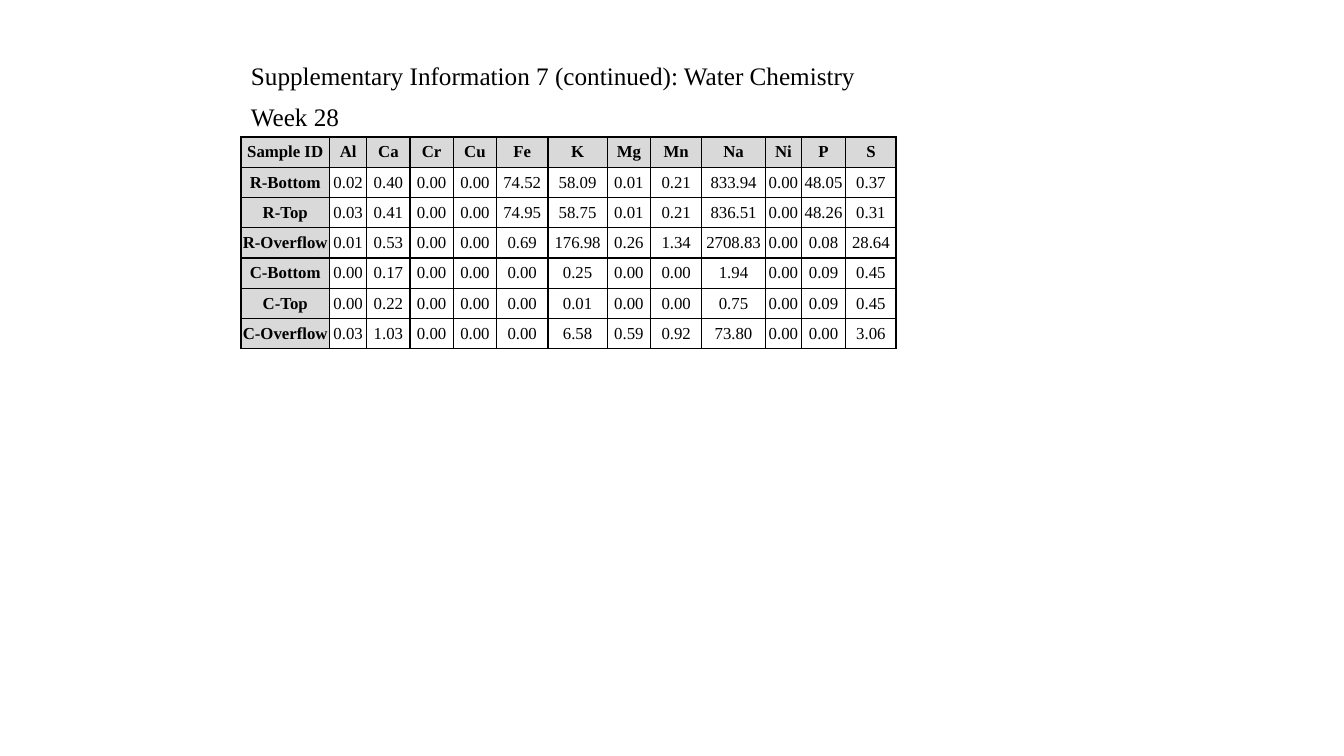
from dataclasses import dataclass

from lxml.etree import SubElement
from pptx import Presentation
from pptx.dml.color import RGBColor
from pptx.enum.text import MSO_ANCHOR, MSO_AUTO_SIZE, PP_ALIGN
from pptx.oxml.ns import qn
from pptx.util import Inches, Pt


@dataclass(frozen=True)
class Theme:
    font: str = "Times New Roman"
    ink: str = "000000"
    label_fill: str = "D9D9D9"
    heading_size: int = 18
    table_size: int = 12
    border_width: int = 1


THEME = Theme()

COLUMN_WIDTHS = [0.88, 0.37, 0.43, 0.43, 0.43, 0.51, 0.59,
                 0.43, 0.51, 0.63, 0.36, 0.44, 0.5]
CHEMISTRY = [
    ["Sample ID", "Al", "Ca", "Cr", "Cu", "Fe", "K", "Mg", "Mn", "Na", "Ni", "P", "S"],
    ["R-Bottom", "0.02", "0.40", "0.00", "0.00", "74.52", "58.09",
     "0.01", "0.21", "833.94", "0.00", "48.05", "0.37"],
    ["R-Top", "0.03", "0.41", "0.00", "0.00", "74.95", "58.75",
     "0.01", "0.21", "836.51", "0.00", "48.26", "0.31"],
    ["R-Overflow", "0.01", "0.53", "0.00", "0.00", "0.69", "176.98",
     "0.26", "1.34", "2708.83", "0.00", "0.08", "28.64"],
    ["C-Bottom", "0.00", "0.17", "0.00", "0.00", "0.00", "0.25",
     "0.00", "0.00", "1.94", "0.00", "0.09", "0.45"],
    ["C-Top", "0.00", "0.22", "0.00", "0.00", "0.00", "0.01",
     "0.00", "0.00", "0.75", "0.00", "0.09", "0.45"],
    ["C-Overflow", "0.03", "1.03", "0.00", "0.00", "0.00", "6.58",
     "0.59", "0.92", "73.80", "0.00", "0.00", "3.06"],
]


def add_run(paragraph, text, size, bold=False):
    run = paragraph.add_run()
    run.text = text
    run.font.name = THEME.font
    run.font.size = Pt(size)
    run.font.bold = bold
    run.font.color.rgb = RGBColor.from_string(THEME.ink)


def add_heading(slide, text, left, top, width, height):
    shape = slide.shapes.add_textbox(Inches(left), Inches(top), Inches(width), Inches(height))
    shape.text_frame.word_wrap = True
    shape.text_frame.auto_size = MSO_AUTO_SIZE.SHAPE_TO_FIT_TEXT
    add_run(shape.text_frame.paragraphs[0], text, THEME.heading_size)


def add_borders(cell):
    properties = cell._tc.get_or_add_tcPr()
    for position, side in enumerate(("a:lnL", "a:lnR", "a:lnT", "a:lnB")):
        line = SubElement(properties, qn(side), w=str(Pt(THEME.border_width)))
        fill = SubElement(line, qn("a:solidFill"))
        SubElement(fill, qn("a:srgbClr"), val=THEME.ink)
        properties.insert(position, line)  # borders precede the cell fill


def fill_cell(cell, text, is_label):
    cell.margin_left = cell.margin_right = Inches(0.01)
    cell.margin_top = cell.margin_bottom = 0
    cell.vertical_anchor = MSO_ANCHOR.MIDDLE
    if is_label:
        cell.fill.solid()
        cell.fill.fore_color.rgb = RGBColor.from_string(THEME.label_fill)
    else:
        cell.fill.background()
    add_borders(cell)
    paragraph = cell.text_frame.paragraphs[0]
    paragraph.alignment = PP_ALIGN.CENTER
    add_run(paragraph, text, THEME.table_size, is_label)


def add_chemistry_table(slide, left, top, width, height):
    table = slide.shapes.add_table(
        len(CHEMISTRY), len(COLUMN_WIDTHS),
        Inches(left), Inches(top), Inches(width), Inches(height)).table
    table.horz_banding = False
    table.first_row = False
    for column, share in zip(table.columns, COLUMN_WIDTHS):
        column.width = Inches(width * share / sum(COLUMN_WIDTHS))
    for row_index, values in enumerate(CHEMISTRY):
        for column_index, text in enumerate(values):
            is_label = row_index == 0 or column_index == 0
            fill_cell(table.cell(row_index, column_index), text, is_label)


def build_water_chemistry_slide(presentation, left, top):
    slide = presentation.slides.add_slide(presentation.slide_layouts[6])
    add_chemistry_table(slide, left, top + 0.81, 6.5, 2.1)
    add_heading(slide, "Week 28", left, top + 0.41, 1.15, 0.4)
    add_heading(slide, "Supplementary Information 7 (continued): Water Chemistry",
                left, top, 6.35, 0.4)


def main():
    presentation = Presentation()
    presentation.slide_width = Inches(13.33)
    presentation.slide_height = Inches(7.5)
    build_water_chemistry_slide(presentation, 2.39, 0.55)
    presentation.save("out.pptx")


if __name__ == "__main__":
    main()
